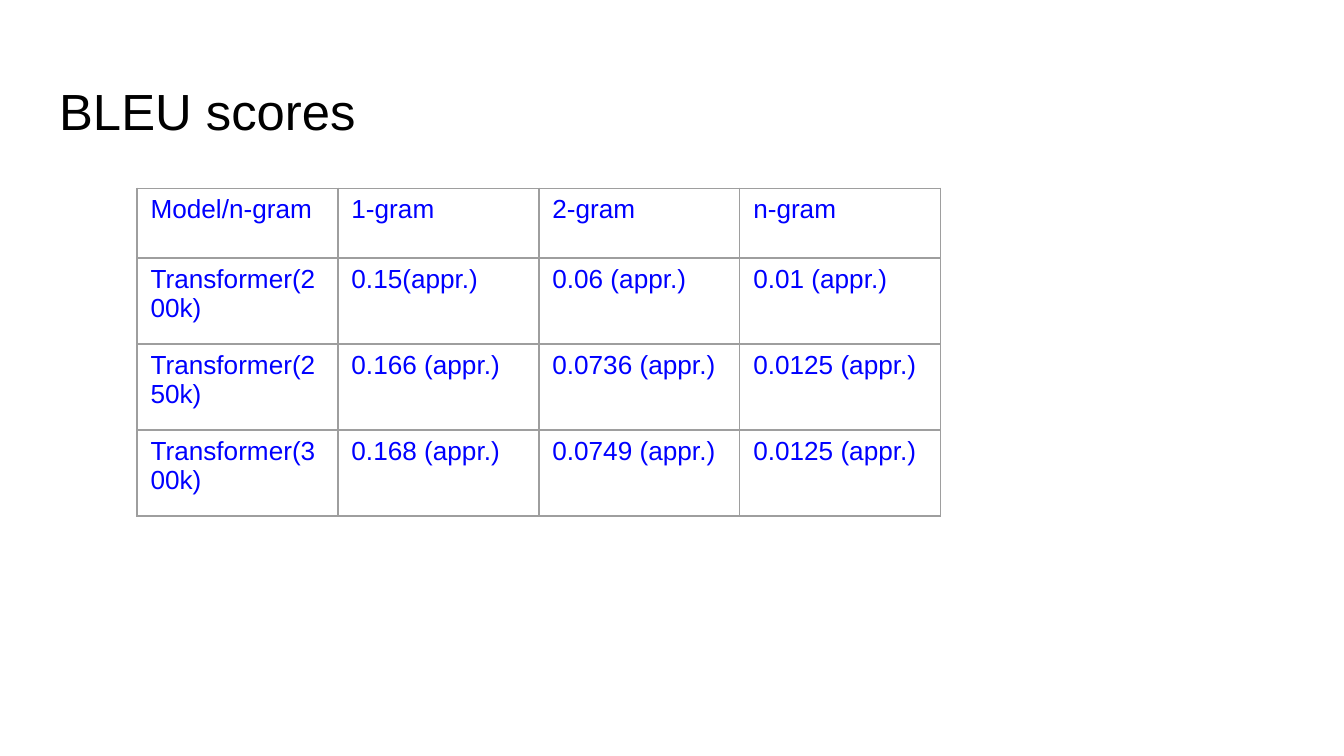
from lxml.etree import SubElement
from pptx import Presentation
from pptx.dml.color import RGBColor
from pptx.enum.text import MSO_ANCHOR, MSO_AUTO_SIZE, PP_ALIGN
from pptx.oxml.ns import qn
from pptx.util import Inches, Pt

BLACK = RGBColor(0x00, 0x00, 0x00)
BLUE = RGBColor(0x00, 0x00, 0xFF)
GREY = RGBColor(0x9E, 0x9E, 0x9E)

SLIDE_WIDTH = Inches(10)
SLIDE_HEIGHT = SLIDE_WIDTH * 9 // 16
TABLE_LEFT, TABLE_TOP = Inches(1.02), Inches(1.4)
TABLE_WIDTH = Inches(5.98)
HEADER_HEIGHT, ROW_HEIGHT = Inches(0.52), Inches(0.64)

TITLE_FONT = {"name": "Arial", "size": Pt(27.2), "bold": False}
CELL_FONT = {"name": "Arial", "size": Pt(14), "bold": False}
TITLE_FRAME = {
    "margin_left": Inches(0.1),
    "margin_right": Inches(0.1),
    "margin_top": Inches(0.1),
    "margin_bottom": Inches(0.1),
    "vertical_anchor": MSO_ANCHOR.TOP,
    "word_wrap": True,
    "auto_size": MSO_AUTO_SIZE.NONE,
}
CELL_FRAME = {
    "margin_left": Inches(0.1),
    "margin_right": Inches(0.1),
    "margin_top": Inches(0.05),
    "margin_bottom": Inches(0.05),
    "vertical_anchor": MSO_ANCHOR.TOP,
}

SCORES = [
    ["Model/n-gram", "1-gram", "2-gram", "n-gram"],
    ["Transformer(200k)", "0.15(appr.)", "0.06 (appr.)", "0.01 (appr.)"],
    ["Transformer(250k)", "0.166 (appr.)", "0.0736 (appr.)", "0.0125 (appr.)"],
    ["Transformer(300k)", "0.168 (appr.)", "0.0749 (appr.)", "0.0125 (appr.)"],
]


def apply_format(target, values):
    for name, value in values.items():
        setattr(target, name, value)


def write_text(frame, text, font, color):
    para = frame.paragraphs[0]
    para.alignment = PP_ALIGN.LEFT
    span = para.add_run()
    span.text = text
    apply_format(span.font, font)
    span.font.color.rgb = color


def place_title(page, text):
    title = page.shapes.title
    apply_format(title, {
        "left": Inches(0.34),
        "top": Inches(0.49),
        "width": Inches(9.32),
        "height": Inches(0.63),
    })
    apply_format(title.text_frame, TITLE_FRAME)
    write_text(title.text_frame, text, TITLE_FONT, BLACK)


def draw_borders(cell):
    properties = cell._tc.get_or_add_tcPr()
    for side in ("a:lnL", "a:lnR", "a:lnT", "a:lnB"):
        line = SubElement(properties, qn(side), w=str(Pt(0.75)))
        fill = SubElement(line, qn("a:solidFill"))
        SubElement(fill, qn("a:srgbClr"), val=str(GREY))


def add_score_table(page, rows):
    row_count, column_count = len(rows), len(rows[0])
    height = HEADER_HEIGHT + ROW_HEIGHT * (row_count - 1)
    table = page.shapes.add_table(
        row_count, column_count, TABLE_LEFT, TABLE_TOP, TABLE_WIDTH, height
    ).table
    apply_format(table, {"first_row": False, "horz_banding": False})
    for index, values in enumerate(rows):
        table.rows[index].height = ROW_HEIGHT if index else HEADER_HEIGHT
        for cell, text in zip(table.rows[index].cells, values):
            apply_format(cell, CELL_FRAME)
            draw_borders(cell)
            cell.fill.background()
            write_text(cell.text_frame, text, CELL_FONT, BLUE)


def main():
    deck = Presentation()
    apply_format(deck, {"slide_width": SLIDE_WIDTH, "slide_height": SLIDE_HEIGHT})
    page = deck.slides.add_slide(deck.slide_layouts[5])
    place_title(page, "BLEU scores")
    add_score_table(page, SCORES)
    deck.save("out.pptx")


if __name__ == "__main__":
    main()
